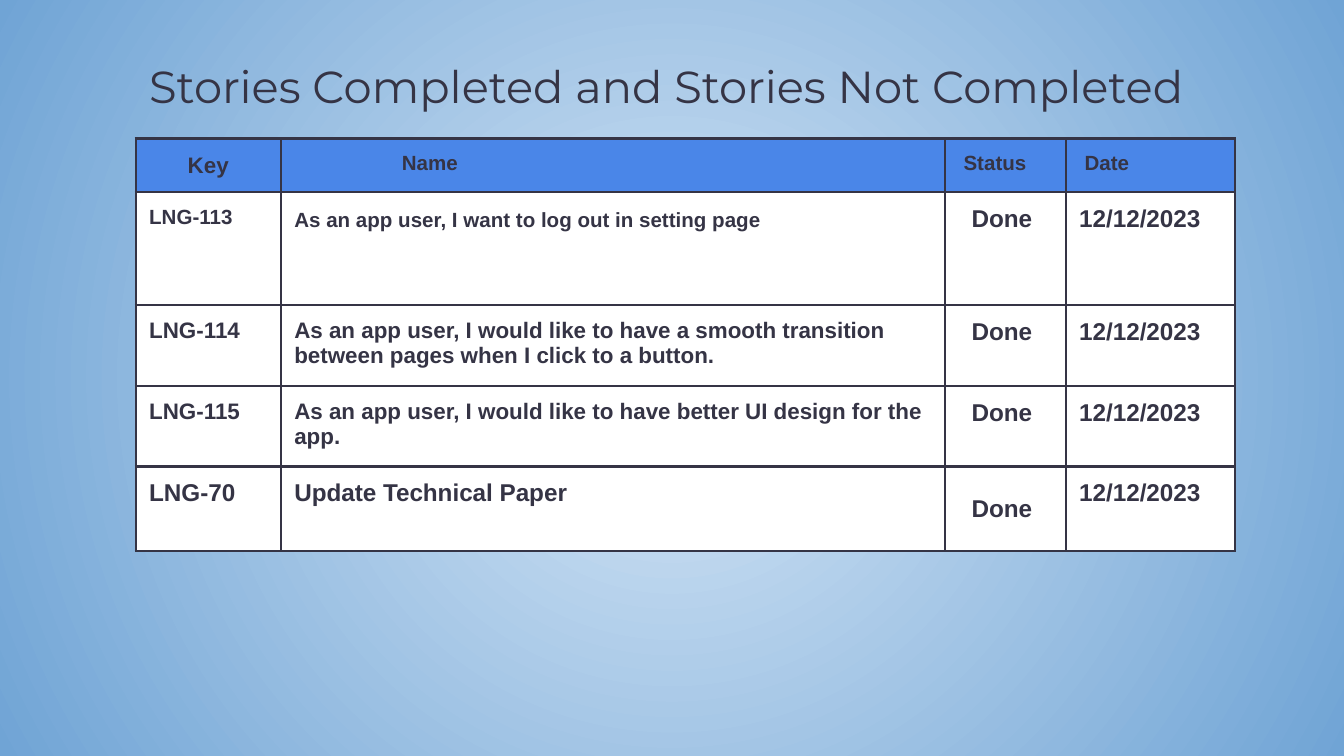
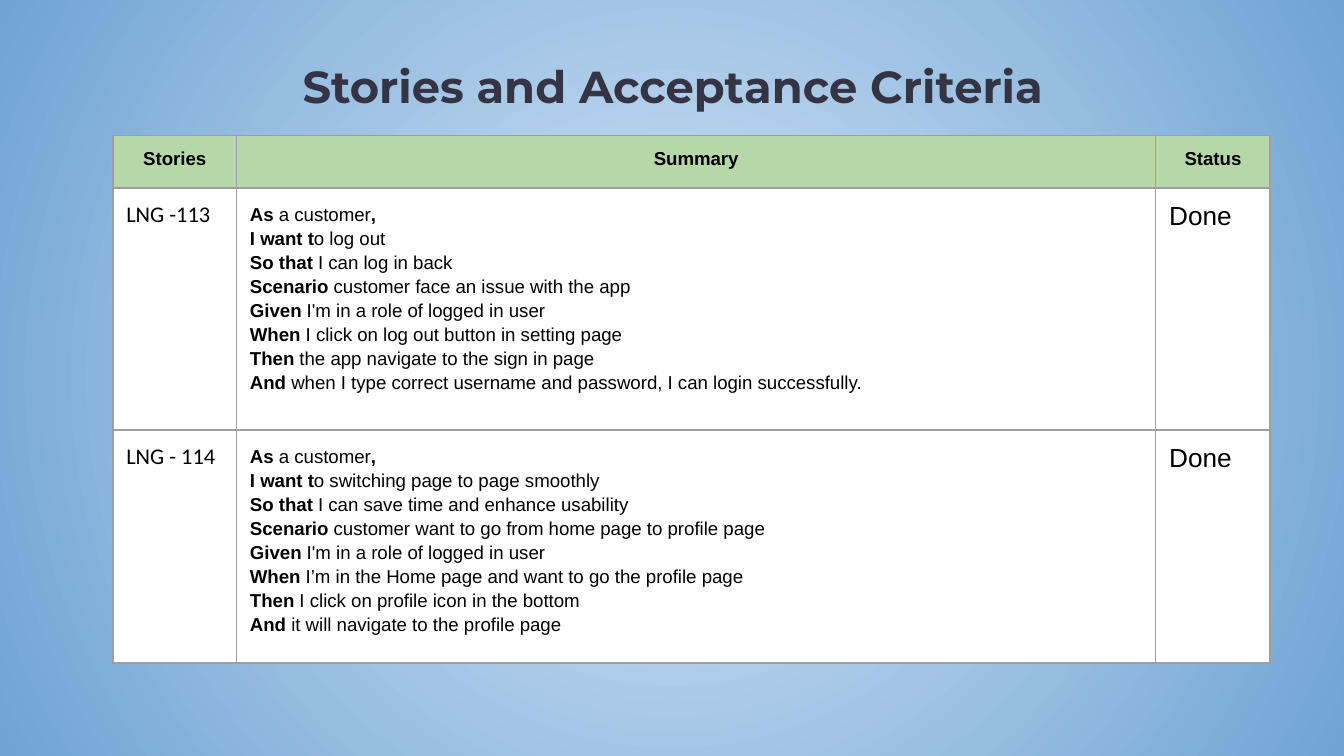
import pptx
import pptx.util
import pptx.dml.color
import pptx.enum.text
import pptx.oxml
import pptx.oxml.ns
from lxml import etree

Inches = pptx.util.Inches
Pt = pptx.util.Pt
ALIGN = pptx.enum.text.PP_ALIGN
ANCHOR = pptx.enum.text.MSO_ANCHOR
qn = pptx.oxml.ns.qn

COLORS = {
    "ink": "353445", "black": "000000", "white": "FFFFFF",
    "blue": "4A86E8", "green": "B6D7A8", "gray": "9E9E9E",
    "glow": "D4E5F5", "sky": "70A4D5",
}
SLIDE_WIDTH = 10
SLIDE_HEIGHT = SLIDE_WIDTH * 9 / 16
INSET = 0.1

STORIES = [
    ("LNG-113", "As an app user, I want to log out in setting page", 11),
    ("LNG-114", "As an app user, I would like to have a smooth transition "
                "between pages when I click to a button.", 12),
    ("LNG-115", "As an app user, I would like to have better UI design for the app.", 12),
    ("LNG-70", "Update Technical Paper", 13),
]
CRITERIA = [
    ("LNG -113", [
        "As |a customer|,",
        "I want t|o log out",
        "So that |I can log in back",
        "Scenario |customer face an issue with the app",
        "Given| I'm in a role of logged in user",
        "When |I click on log out button in setting page",
        "Then| the app navigate to the sign in page",
        "And |when I type correct username and password, I can login successfully.",
    ]),
    ("LNG - 114", [
        "As |a customer|,",
        "I want t|o switching page to page smoothly",
        "So that |I can save time and enhance usability",
        "Scenario |customer want to go from home page to profile page",
        "Given| I'm in a role of logged in user",
        "When |I’m in the Home page and want to go the profile page",
        "Then| I click on profile icon in the bottom",
        "And |it will navigate to the profile page",
    ]),
]


def rgb(name):
    """Return the named palette colour."""
    return pptx.dml.color.RGBColor.from_string(COLORS[name])


def set_background(master):
    """Give every slide a round gradient, light in the middle."""
    fill = master.background.fill
    fill.gradient()
    for stop, name in zip(fill.gradient_stops, ("glow", "sky")):
        stop.color.rgb = rgb(name)
    linear = master.element.find(".//" + qn("p:bg")).find(".//" + qn("a:lin"))
    circle = etree.Element(qn("a:path"), {"path": "circle"})
    etree.SubElement(circle, qn("a:fillToRect"), dict.fromkeys("ltrb", "50000"))
    linear.getparent().replace(linear, circle)


def add_span(para, text, size, color, bold=False, font="Arial"):
    """Add one formatted run."""
    span = para.add_run()
    span.text = text
    span.font.size = Pt(size)
    span.font.name = font
    span.font.bold = bold
    span.font.color.rgb = rgb(color)


def add_title(page, box, text, align, bold):
    """Move the title placeholder into the box and fill it."""
    title = page.shapes.title
    title.left, title.top, title.width, title.height = map(Inches, box)
    frame = title.text_frame
    frame.margin_left = frame.margin_right = Inches(INSET)
    frame.margin_top = frame.margin_bottom = Inches(INSET)
    frame.vertical_anchor = ANCHOR.TOP
    frame.word_wrap = True
    frame.auto_size = pptx.enum.text.MSO_AUTO_SIZE.SHAPE_TO_FIT_TEXT
    frame.paragraphs[0].alignment = align
    add_span(frame.paragraphs[0], text, 24, "ink", bold, "Montserrat")


def set_borders(cell, color, width):
    """Draw the four borders of a cell."""
    properties = cell._tc.get_or_add_tcPr()
    for place, side in enumerate(("a:lnL", "a:lnR", "a:lnT", "a:lnB")):
        line = etree.Element(qn(side), {"w": str(Pt(width))})
        solid = etree.SubElement(line, qn("a:solidFill"))
        etree.SubElement(solid, qn("a:srgbClr"), {"val": COLORS[color]})
        properties.insert(place, line)


def add_grid(page, corner, widths, heights, header_fill, border, border_width):
    """Add a table with a coloured header row and plain white rows."""
    left, top = map(Inches, corner)
    frame = page.shapes.add_table(len(heights), len(widths), left, top,
                                  Inches(sum(widths)), Inches(sum(heights)))
    table = frame.table
    table.first_row = table.horz_banding = False
    for column, width in zip(table.columns, widths):
        column.width = Inches(width)
    for number, (row, height) in enumerate(zip(table.rows, heights)):
        row.height = Inches(height)
        for cell in row.cells:
            cell.fill.solid()
            cell.fill.fore_color.rgb = rgb("white" if number else header_fill)
            cell.margin_left = cell.margin_right = Inches(INSET)
            cell.margin_top = cell.margin_bottom = Inches(INSET)
            set_borders(cell, border, border_width)
    return table


def write_cell(cell, text, size, color, bold=False, font="Arial", align=ALIGN.LEFT, indent=INSET):
    """Write a single line of text in a cell."""
    cell.margin_left = Inches(indent)
    para = cell.text_frame.paragraphs[0]
    para.alignment = align
    add_span(para, text, size, color, bold, font)


def write_criteria(cell, lines):
    """Write lines whose parts alternate between bold and regular."""
    frame = cell.text_frame
    for number, line in enumerate(lines):
        para = frame.add_paragraph() if number else frame.paragraphs[0]
        para.line_spacing = 1.15
        for place, part in enumerate(line.split("|")):
            add_span(para, part, 10, "black", place % 2 == 0)


def build_stories(page):
    """Build the slide of completed stories."""
    add_title(page, (1.01, 0.34, 7.99, 0.61),
              "Stories Completed and Stories Not Completed", ALIGN.LEFT, False)
    table = add_grid(page, (1.01, 1.03), (1.08, 4.94, 0.9, 1.26),
                     (0.4, 0.84, 0.6, 0.6, 0.63), "blue", "ink", 1.5)
    write_cell(table.cell(0, 0), "Key", 12, "ink", True, align=ALIGN.CENTER)
    table.cell(0, 0).vertical_anchor = ANCHOR.MIDDLE
    for column, (text, indent) in enumerate((("Name", 0.9), ("Status", 0.14), ("Date", 0.14)), 1):
        write_cell(table.cell(0, column), text, 11, "ink", True, indent=indent)
    for row, (key, name, size) in enumerate(STORIES, 1):
        write_cell(table.cell(row, 0), key, size, "ink", True)
        write_cell(table.cell(row, 1), name, size, "ink", True)
        write_cell(table.cell(row, 2), "Done", 13, "ink", True, indent=0.2)
        write_cell(table.cell(row, 3), "12/12/2023", 13, "ink", True)
    first_name = table.cell(1, 1).text_frame.paragraphs[0]
    first_name.line_spacing = 1.15
    first_name.space_after = Pt(15)
    table.cell(len(STORIES), 2).vertical_anchor = ANCHOR.MIDDLE


def build_criteria(page):
    """Build the slide of acceptance criteria."""
    add_title(page, (1.01, 0.34, 7.99, 1.03),
              "Stories and Acceptance Criteria", ALIGN.CENTER, True)
    table = add_grid(page, (0.84, 1.01), (0.92, 6.84, 0.85),
                     (0.39, 1.8, 1.73), "green", "gray", 0.75)
    for column, text in enumerate(("Stories", "Summary", "Status")):
        write_cell(table.cell(0, column), text, 10, "black", True, align=ALIGN.CENTER)
    for row, (key, lines) in enumerate(CRITERIA, 1):
        write_cell(table.cell(row, 0), key, 12, "black", font="Calibri")
        write_criteria(table.cell(row, 1), lines)
        write_cell(table.cell(row, 2), "Done", 14, "black")


def main():
    """Build and save the deck."""
    deck = pptx.Presentation()
    deck.slide_width, deck.slide_height = Inches(SLIDE_WIDTH), Inches(SLIDE_HEIGHT)
    set_background(deck.slide_master)
    for build in (build_stories, build_criteria):
        build(deck.slides.add_slide(deck.slide_layouts[5]))
    deck.save("out.pptx")


if __name__ == "__main__":
    main()
